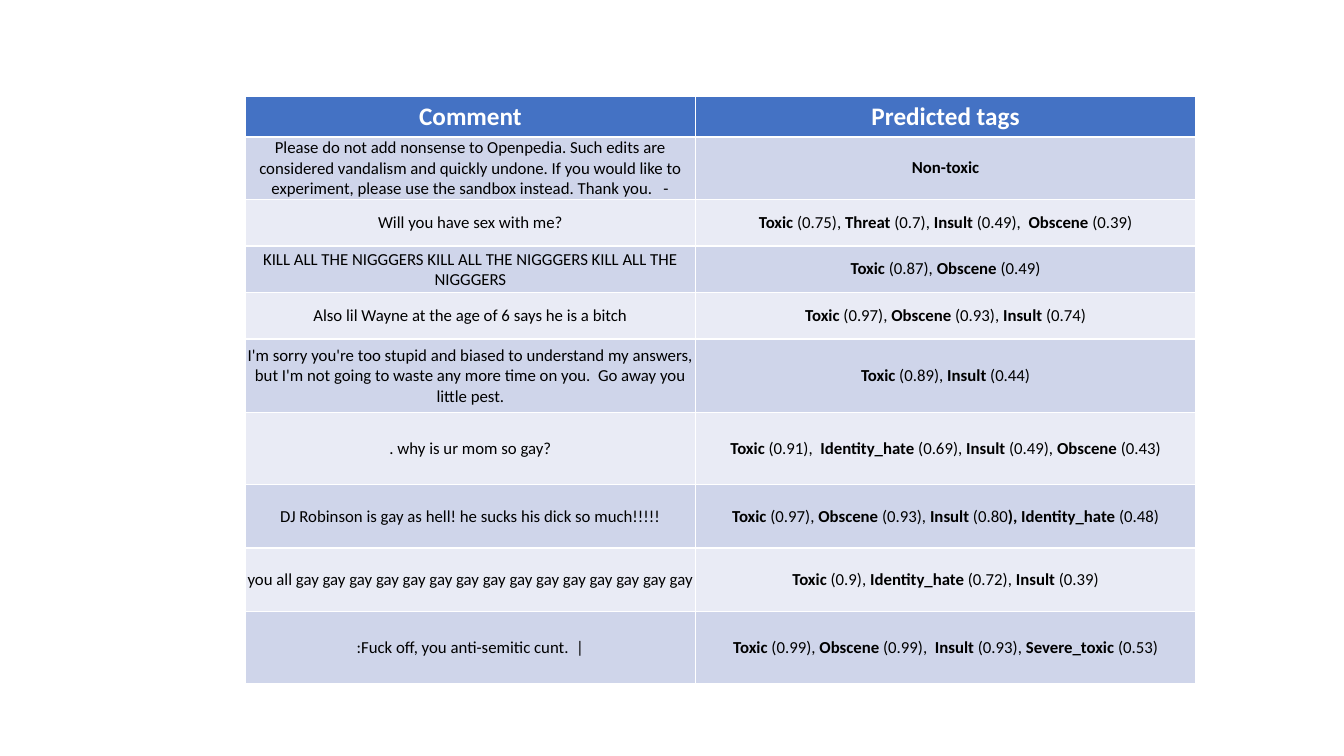
from pptx import Presentation
from pptx.dml.color import RGBColor
from pptx.enum import text
from pptx.util import Cm, Pt

# Content: comment, tags (asterisks enclose bold words), row height in cm
HEAD = ("*Comment*", "*Predicted tags*", 1.02)
ROWS = [
    ("Please do not add nonsense to Openpedia. Such edits are considered vandalism "
     "and quickly undone. If you would like to experiment, please use the sandbox "
     "instead. Thank you.   -", "*Non-toxic*", 1.58),
    ("Will you have sex with me?",
     "*Toxic* (0.75), *Threat* (0.7), *Insult* (0.49),  *Obscene* (0.39)", 1.17),
    ("KILL ALL THE NIGGGERS KILL ALL THE NIGGGERS KILL ALL THE NIGGGERS",
     "*Toxic* (0.87), *Obscene* (0.49)", 1.17),
    ("Also lil Wayne at the age of 6 says he is a bitch",
     "*Toxic* (0.97), *Obscene* (0.93), *Insult* (0.74)", 1.17),
    ("I'm sorry you're too stupid and biased to understand my answers, but I'm not "
     "going to waste any more time on you.  Go away you little pest.",
     "*Toxic* (0.89), *Insult* (0.44)", 1.86),
    (". why is ur mom so gay?",
     "*Toxic* (0.91),  *Identity_hate* (0.69), *Insult* (0.49), *Obscene* (0.43)", 1.81),
    ("DJ Robinson is gay as hell! he sucks his dick so much!!!!!",
     "*Toxic* (0.97), *Obscene* (0.93), *Insult* (0.80*), Identity_hate* (0.48)", 1.6),
    ("you all gay gay gay gay gay gay gay gay gay gay gay gay gay gay gay",
     "*Toxic* (0.9), *Identity_hate* (0.72), *Insult* (0.39)", 1.6),
    (":Fuck off, you anti-semitic cunt.  |",
     "*Toxic* (0.99), *Obscene* (0.99),  *Insult* (0.93), *Severe_toxic* (0.53)", 1.81),
]
WIDTHS = (11.33, 12.62)
COLORS = {"head": "4472C4", "odd": "CFD5EA", "even": "E9EBF5",
          "white": "FFFFFF", "black": "000000"}


def write(cell, words, size=12, color="black", fill="odd"):
    """Fill a cell with centred text, bold between asterisks."""
    cell.fill.solid()
    cell.fill.fore_color.rgb = RGBColor.from_string(COLORS[fill])
    cell.vertical_anchor = text.MSO_ANCHOR.MIDDLE
    para = cell.text_frame.paragraphs[0]
    para.alignment = text.PP_ALIGN.CENTER
    for i, part in enumerate(words.split("*")):
        if part:
            run = para.add_run()
            run.text = part
            font = run.font
            font.name, font.size, font.bold = "Calibri", Pt(size), i % 2 == 1
            font.color.rgb = RGBColor.from_string(COLORS[color])


def main():
    prs = Presentation()
    prs.slide_width, prs.slide_height = Cm(33.87), Cm(19.05)
    slide = prs.slides.add_slide(prs.slide_layouts[6])

    # Table grid; its default style draws the white rules
    lines = [HEAD] + ROWS
    high = sum(line[2] for line in lines)
    table = slide.shapes.add_table(len(lines), len(WIDTHS), Cm(6.19), Cm(2.42),
                                   Cm(sum(WIDTHS)), Cm(high)).table
    for col, width in zip(table.columns, WIDTHS):
        col.width = Cm(width)

    # Header and banded rows
    for r, (note, tags, height) in enumerate(lines):
        table.rows[r].height = Cm(height)
        look = {"fill": "odd" if r % 2 else "even"}
        if r == 0:
            look = {"size": 18, "color": "white", "fill": "head"}
        for c, words in enumerate((note, tags)):
            write(table.cell(r, c), words, **look)
        if r:
            cell = table.cell(r, 0)
            cell.margin_left = cell.margin_right = cell.margin_top = Cm(0.02)
            cell.margin_bottom = 0

    prs.save("out.pptx")


if __name__ == "__main__":
    main()
